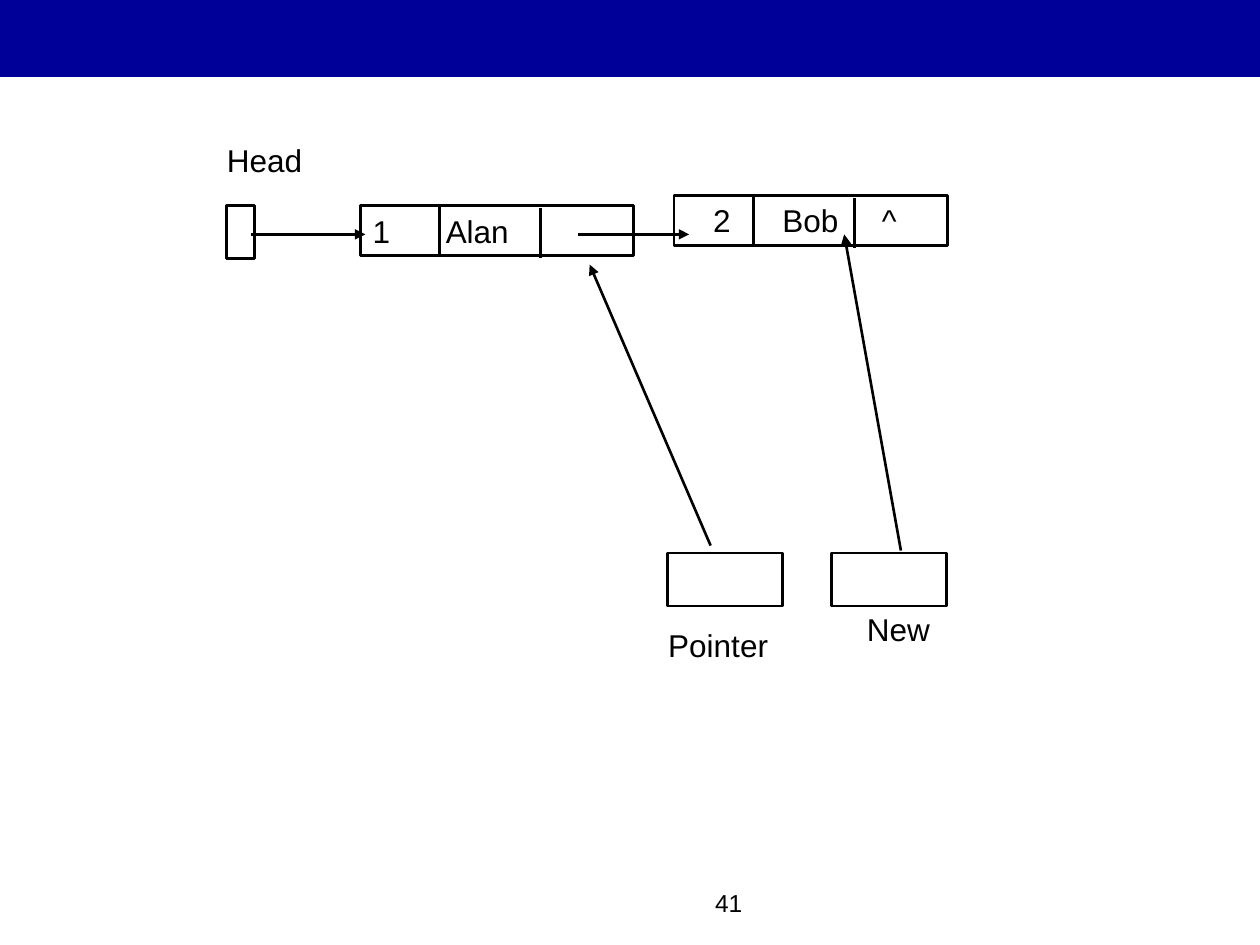
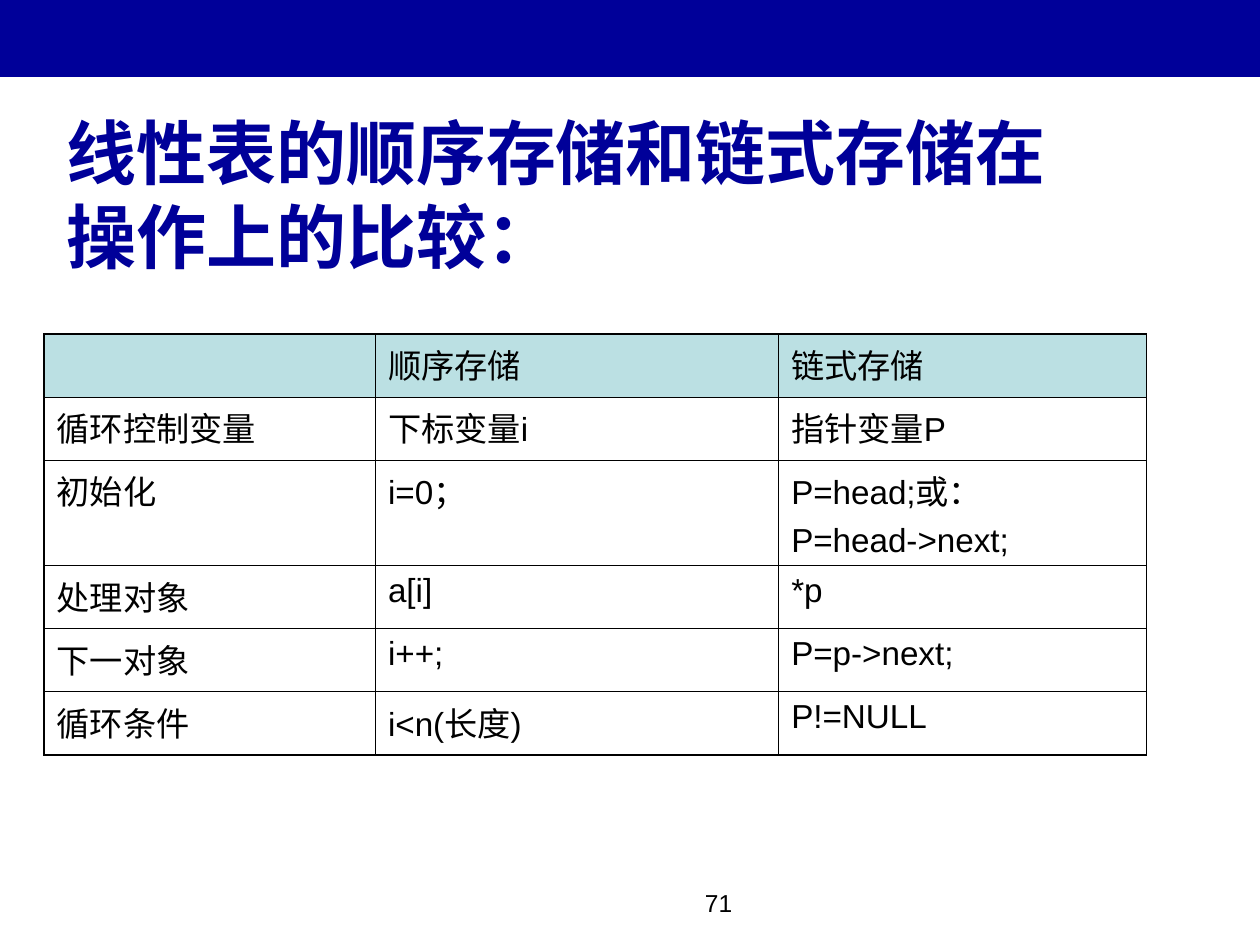
from lxml import etree
from pptx import Presentation
from pptx.dml.color import RGBColor
from pptx.enum.shapes import MSO_CONNECTOR as Connector, MSO_SHAPE as Shape
from pptx.enum.text import MSO_ANCHOR as Anchor, PP_ALIGN as Align
from pptx.oxml.ns import qn
from pptx.util import Inches, Pt

COLORS = {"navy": "000099", "black": "000000", "white": "FFFFFF", "header": "BBE0E3"}
BODY_FONT = "Arial"
TITLE_FONT = "Noto Sans CJK SC"
OUTER_BORDER, INNER_BORDER = 1.08, 0.45

COMPARISON = [
    ["", "顺序存储", "链式存储"],
    ["循环控制变量", "下标变量i", "指针变量P"],
    ["初始化", "i=0；", "P=head;或：\nP=head->next;"],
    ["处理对象", "a[i]", "*p"],
    ["下一对象", "i++;", "P=p->next;"],
    ["循环条件", "i<n(长度)", "P!=NULL"],
]
COLUMN_WIDTHS = [2.63, 3.2, 2.92]
ROW_HEIGHTS = [0.5, 0.5, 0.84, 0.5, 0.5, 0.5]


def color(name):
    return RGBColor.from_string(COLORS[name])


def write(frame, text, size, align=Align.LEFT, name="black", font=BODY_FONT, bold=False):
    frame.text = text
    for para in frame.paragraphs:
        para.alignment = align
        for span in para.runs:
            span.font.size = Pt(size)
            span.font.name = font
            span.font.bold = bold
            span.font.color.rgb = color(name)


def add_text(slide, text, left, top, width, height, size, wrap=True, **style):
    box = slide.shapes.add_textbox(Inches(left), Inches(top), Inches(width), Inches(height))
    box.text_frame.word_wrap = wrap
    write(box.text_frame, text, size, **style)
    return box


def add_box(slide, left, top, width, height, fill=None):
    """Draw a filled band, or a black outline when no fill is named."""
    box = slide.shapes.add_shape(
        Shape.RECTANGLE, Inches(left), Inches(top), Inches(width), Inches(height))
    box.shadow.inherit = False
    if fill:
        box.fill.solid()
        box.fill.fore_color.rgb = color(fill)
        box.line.fill.background()
    else:
        box.fill.background()
        box.line.color.rgb = color("black")
        box.line.width = Pt(1.5)
    return box


def add_line(slide, start, end, arrow=False):
    line = slide.shapes.add_connector(
        Connector.STRAIGHT, *(Inches(value) for value in (*start, *end)))
    line.line.color.rgb = color("black")
    line.line.width = Pt(1.5)
    if arrow:
        etree.SubElement(line.line._get_or_add_ln(), qn("a:tailEnd"), type="triangle")
    etree.SubElement(line._element.spPr, qn("a:effectLst"))


def add_list_node(slide, left, top, text, inset, tabs):
    """Draw a three-field node; tabs place the fields after the first one."""
    node = add_box(slide, left, top, 2.17, 0.4)
    frame = node.text_frame
    frame.margin_left = Inches(inset)
    frame.vertical_anchor = Anchor.TOP
    write(frame, text, 18)
    stops = etree.SubElement(frame.paragraphs[0]._p.get_or_add_pPr(), qn("a:tabLst"))
    for tab in tabs:
        etree.SubElement(stops, qn("a:tab"), pos=str(Inches(tab)), algn="l")
    for across, down in ((0.63, 0), (1.43, 0.02)):
        x, y = left + across, top + down
        add_line(slide, (x, y), (x, y + 0.4))


def set_borders(cell, widths):
    """Set the left, right, top and bottom border widths in points."""
    properties = cell._tc.get_or_add_tcPr()
    for index, (side, width) in enumerate(zip(("lnL", "lnR", "lnT", "lnB"), widths)):
        border = etree.Element(qn(f"a:{side}"), w=str(Pt(width)))
        fill = etree.SubElement(border, qn("a:solidFill"))
        etree.SubElement(fill, qn("a:srgbClr"), val=COLORS["black"])
        properties.insert(index, border)


def add_comparison_table(slide, left, top):
    last_row, last_column = len(ROW_HEIGHTS) - 1, len(COLUMN_WIDTHS) - 1
    table = slide.shapes.add_table(
        len(ROW_HEIGHTS), len(COLUMN_WIDTHS), Inches(left), Inches(top),
        Inches(sum(COLUMN_WIDTHS)), Inches(sum(ROW_HEIGHTS))).table
    table.first_row = table.horz_banding = False
    for column, width in zip(table.columns, COLUMN_WIDTHS):
        column.width = Inches(width)
    for r, (row, height) in enumerate(zip(table.rows, ROW_HEIGHTS)):
        row.height = Inches(height)
        for c, cell in enumerate(row.cells):
            write(cell.text_frame, COMPARISON[r][c], 19)
            for para in cell.text_frame.paragraphs[1:]:
                para.space_before = Pt(4.8)
            cell.fill.solid()
            cell.fill.fore_color.rgb = color("white" if r else "header")
            on_edge = (c == 0, c == last_column, r == 0, r == last_row)
            set_borders(cell, [OUTER_BORDER if edge else INNER_BORDER for edge in on_edge])


def add_title(slide, text):
    title = add_text(slide, text, 0.43, 0.91, 8.5, 1.25, 40,
                     name="navy", font=TITLE_FONT, bold=True)
    title.text_frame.vertical_anchor = Anchor.MIDDLE
    para = title.text_frame.paragraphs[0]
    para.line_spacing = Pt(48)
    etree.SubElement(para.runs[0].font._element, qn("a:ea"), typeface=TITLE_FONT)


def add_page(deck, number, number_left):
    slide = deck.slides.add_slide(deck.slide_layouts[6])
    add_box(slide, 0, 0, 10, 0.61, fill="navy")
    add_text(slide, number, number_left, 7, 2.08, 0.5, 14, align=Align.RIGHT)
    return slide


def build_linked_list(deck):
    slide = add_page(deck, "41", 3.91)
    add_box(slide, 1.8, 1.63, 0.22, 0.42)
    add_list_node(slide, 2.86, 1.63, "1\tAlan", 0.1, [0.58])
    add_list_node(slide, 5.35, 1.55, "2\tBob\t^", 0.31, [0.55, 1.34])
    for pointer_left in (5.3, 6.6):
        add_box(slide, pointer_left, 4.39, 0.91, 0.42)
    for text, left, top, width in (
            ("Head", 1.7, 1.07, 0.8), ("New", 6.78, 4.79, 0.7), ("Pointer", 5.2, 4.92, 1)):
        add_text(slide, text, left, top, width, 0.4, 18, wrap=False, align=Align.CENTER)
    for start, end in (
            ((1.99, 1.86), (2.9, 1.86)), ((4.59, 1.86), (5.47, 1.86)),
            ((5.64, 4.33), (4.68, 2.1)), ((7.15, 4.37), (6.7, 1.86))):
        add_line(slide, start, end, arrow=True)


def build_comparison(deck):
    slide = add_page(deck, "71", 3.83)
    add_title(slide, "线性表的顺序存储和链式存储在操作上的比较：")
    add_comparison_table(slide, 0.35, 2.65)


def main():
    deck = Presentation()
    deck.slide_width, deck.slide_height = Inches(10), Inches(7.5)
    build_linked_list(deck)
    build_comparison(deck)
    deck.save("out.pptx")


if __name__ == "__main__":
    main()
